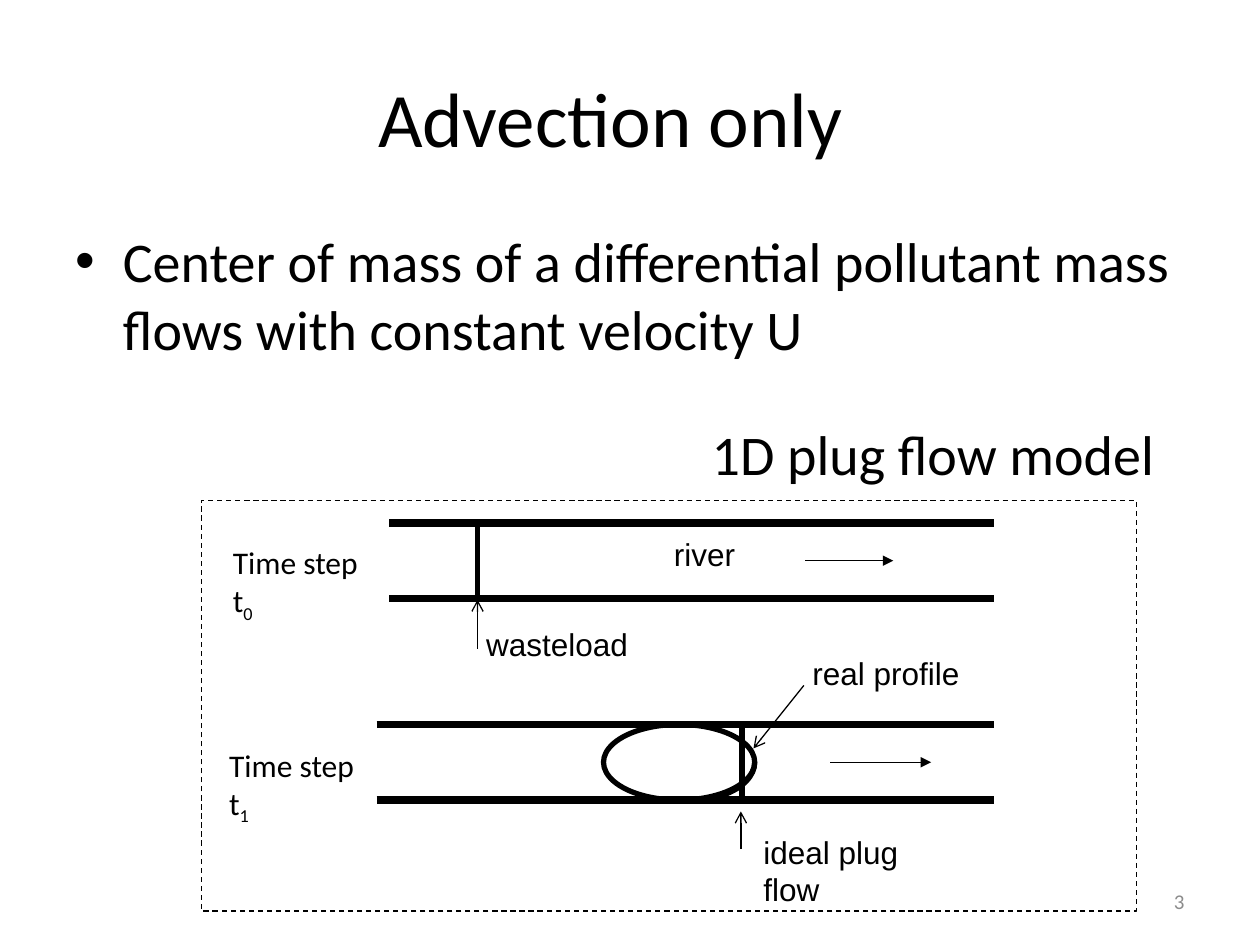
from dataclasses import dataclass

from lxml import etree
from pptx import Presentation
from pptx.dml.color import RGBColor
from pptx.enum.dml import MSO_LINE
from pptx.enum.shapes import MSO_CONNECTOR, MSO_SHAPE
from pptx.enum.text import MSO_ANCHOR, MSO_AUTO_SIZE, PP_ALIGN
from pptx.oxml.ns import qn
from pptx.util import Inches, Pt


@dataclass(frozen=True)
class Theme:
    ink: RGBColor = RGBColor(0x00, 0x00, 0x00)
    muted: RGBColor = RGBColor(0x8C, 0x8C, 0x8C)
    text_font: str = "Calibri"
    label_font: str = "Arial"
    title_size: Pt = Pt(44)
    body_size: Pt = Pt(32)
    label_size: Pt = Pt(18)
    number_size: Pt = Pt(12)
    bank_width: Pt = Pt(4.5)
    front_width: Pt = Pt(3)
    thin_width: Pt = Pt(0.75)


theme = Theme()

presentation = Presentation()
presentation.slide_width = Inches(10)
presentation.slide_height = Inches(7.5)
slide = presentation.slides.add_slide(presentation.slide_layouts[1])


def add_text(text, box, font, size, color=theme.ink, wrap=False):
    """Add a one-paragraph text box and return its text frame."""
    shape = slide.shapes.add_textbox(*map(Inches, box))
    frame = shape.text_frame
    frame.word_wrap = wrap
    paragraph = frame.paragraphs[0]
    paragraph.text = text
    paragraph.font.name = font
    paragraph.font.size = size
    paragraph.font.color.rgb = color
    return frame


def add_line(start, end, width, arrowhead=None):
    """Add a straight line, with an arrowhead of the given type at its end."""
    connector = slide.shapes.add_connector(
        MSO_CONNECTOR.STRAIGHT, *map(Inches, (*start, *end))
    )
    connector.line.color.rgb = theme.ink
    connector.line.width = width
    if arrowhead:
        line = connector.line._get_or_add_ln()
        etree.SubElement(line, qn("a:tailEnd"), type=arrowhead)
    etree.SubElement(connector._element.spPr, qn("a:effectLst"))


# Title and bullet
placeholders = [
    (slide.shapes.title, "Advection only \t", (0.5, 0.3, 9, 1.25), theme.title_size),
    (
        slide.placeholders[1],
        "Center of mass of a differential pollutant mass flows with constant velocity U",
        (0.5, 1.75, 9, 1.21),
        theme.body_size,
    ),
]
for placeholder, text, box, size in placeholders:
    placeholder.left, placeholder.top, placeholder.width, placeholder.height = map(Inches, box)
    placeholder.text_frame.auto_size = MSO_AUTO_SIZE.NONE
    paragraph = placeholder.text_frame.paragraphs[0]
    paragraph.text = text
    paragraph.font.name = theme.text_font
    paragraph.font.size = size
    paragraph.font.color.rgb = theme.ink

add_text("1D plug flow model", (5.55, 3.28, 3.78, 1.21), theme.text_font, theme.body_size, wrap=True)

# River banks at both time steps
river_right = 7.89
upper_top, lower_top, river_depth = 4.15, 5.75, 0.6
for left, top in [(3.09, upper_top), (2.99, lower_top)]:
    for bank in (top, top + river_depth):
        add_line((left, bank), (river_right, bank), theme.bank_width)

# Plug fronts
for x, top in [(3.79, upper_top), (5.89, lower_top)]:
    add_line((x, top + river_depth), (x, top), theme.front_width)

# Real profile: upper and lower arcs meeting at the same tip.
# Angles are in the shape's units, 0.6 per degree.
profile_tip = 5.99
for width, start_angle, end_angle in [(1.2, -54, 0), (1.0, 0, 64)]:
    arc = slide.shapes.add_shape(
        MSO_SHAPE.ARC,
        *map(Inches, (profile_tip - width, lower_top, width, river_depth)),
    )
    arc.adjustments[0] = start_angle
    arc.adjustments[1] = end_angle
    arc.fill.background()
    arc.line.color.rgb = theme.ink
    arc.line.width = theme.front_width
    arc.shadow.inherit = False

# Flow and pointer arrows
arrows = [
    ((6.39, 4.45), (7.09, 4.45), "triangle"),
    ((6.59, 6.05), (7.39, 6.05), "triangle"),
    ((3.79, 5.15), (3.79, 4.76), "arrow"),
    ((5.88, 6.74), (5.88, 6.44), "arrow"),
    ((6.38, 5.44), (5.98, 5.94), "arrow"),
]
for start, end, arrowhead in arrows:
    add_line(start, end, theme.thin_width, arrowhead)

# Diagram labels
labels = [
    ("wasteload", 3.76, 4.91, 1.33),
    ("river", 5.25, 4.2, 0.69),
    ("ideal plug flow", 5.96, 6.56, 1.78),
    ("real profile", 6.35, 5.14, 1.37),
]
for text, left, top, width in labels:
    add_text(text, (left, top, width, 0.4), theme.label_font, theme.label_size)

# Dashed frame
frame_box = slide.shapes.add_shape(MSO_SHAPE.RECTANGLE, *map(Inches, (1.6, 3.97, 7.42, 3.26)))
frame_box.fill.background()
frame_box.line.color.rgb = theme.ink
frame_box.line.width = theme.thin_width
frame_box.line.dash_style = MSO_LINE.DASH
frame_box.shadow.inherit = False

# Time steps with subscripts
for index, left, top in [("0", 1.75, 4.26), ("1", 1.72, 5.87)]:
    time_frame = add_text(
        "Time step t", (left, top, 1.34, 0.37), theme.text_font, theme.label_size, wrap=True
    )
    subscript = time_frame.paragraphs[0].add_run()
    subscript.text = index
    subscript._r.get_or_add_rPr().set("baseline", "-25000")

# Slide number
number_frame = add_text(
    "3", (7.17, 6.95, 2.33, 0.4), theme.text_font, theme.number_size, theme.muted, wrap=True
)
number_frame.vertical_anchor = MSO_ANCHOR.MIDDLE
number_frame.paragraphs[0].alignment = PP_ALIGN.RIGHT

presentation.save("out.pptx")
